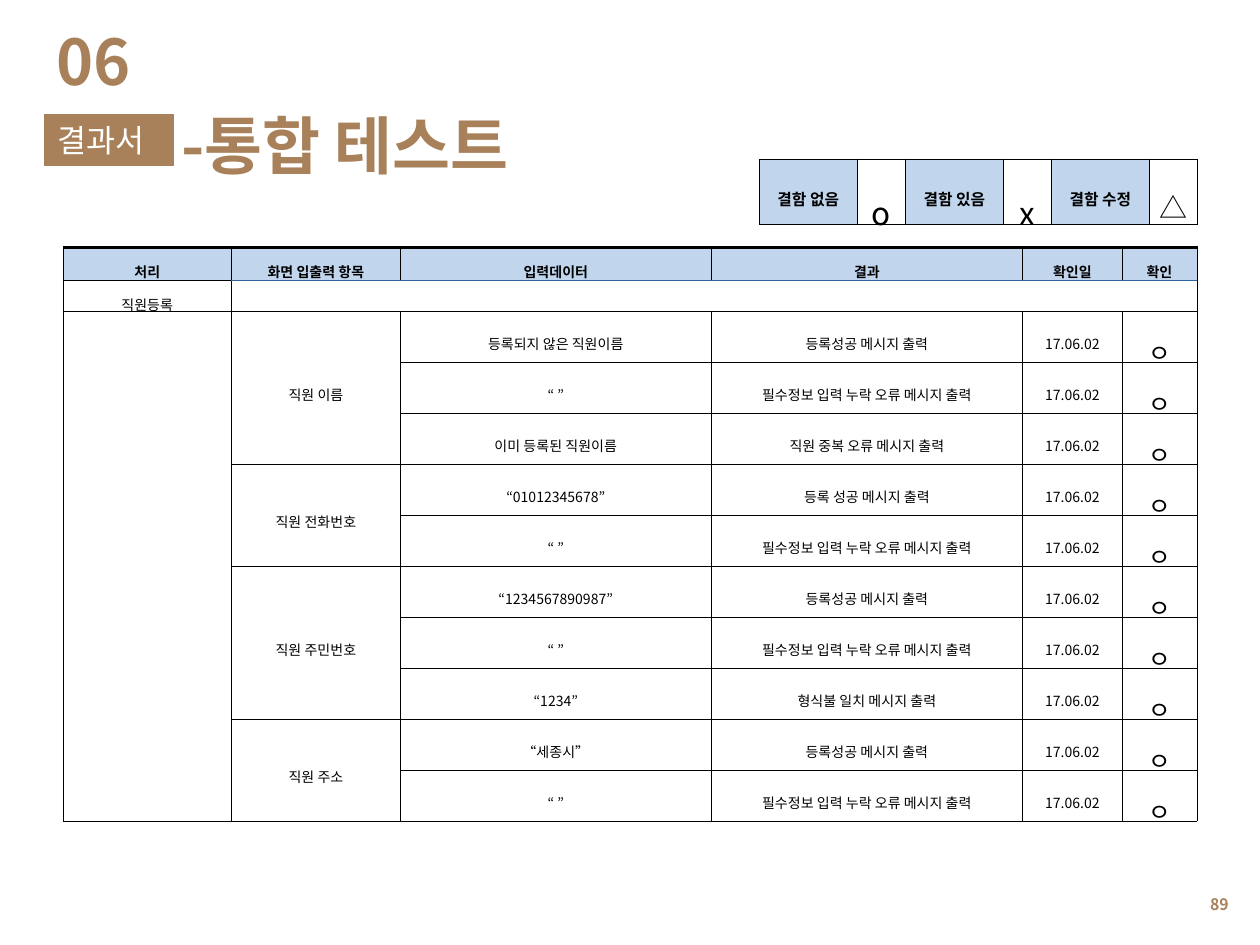
from lxml import etree
from pptx import Presentation
from pptx.dml import color
from pptx.enum import shapes, text
from pptx.oxml import ns
from pptx.util import Pt

FONT = "Noto Sans CJK KR"
LINE_HEIGHT, SPACING = 1.45, 1.6
BROWN, BLACK, WHITE = "A8815A", "000000", "FFFFFF"
HEADER_FILL, HEADER_RULE = "C1D6ED", "2D629C"
ALIGN, ANCHOR = text.PP_ALIGN, text.MSO_ANCHOR

LEGEND = [("결함 없음", "o"), ("결함 있음", "x"), ("결함 수정", "△")]
HEADINGS = ["처리", "화면 입출력 항목", "입력데이터", "결과", "확인일", "확인"]
MISSING = ("“ ”", "필수정보 입력 누락 오류 메시지 출력")
TESTS = [
    ("직원 이름", [("등록되지 않은 직원이름", "등록성공 메시지 출력"), MISSING,
               ("이미 등록된 직원이름", "직원 중복 오류 메시지 출력")]),
    ("직원 전화번호", [("“01012345678”", "등록 성공 메시지 출력"), MISSING]),
    ("직원 주민번호", [("“1234567890987”", "등록성공 메시지 출력"), MISSING,
                 ("“1234”", "형식불 일치 메시지 출력")]),
    ("직원 주소", [("“세종시”", "등록성공 메시지 출력"), MISSING]),
]


def rgb(value):
    return color.RGBColor.from_string(value)


def write(frame, words, size, ink, bold=False, align=ALIGN.LEFT, anchor=ANCHOR.TOP):
    frame.word_wrap = True
    frame.auto_size = text.MSO_AUTO_SIZE.NONE
    frame.vertical_anchor = anchor
    format_paragraph(frame.paragraphs[0], words, size, ink, bold, align)


def format_paragraph(para, words, size, ink, bold, align):
    para.text = words
    para.alignment = align
    font = para.font
    font.size, font.bold, font.name = Pt(size), bold, FONT
    font.color.rgb = rgb(ink)
    # Korean glyphs take the East Asian typeface; pair kerning is off
    defaults = para._p.pPr.find(ns.qn("a:defRPr"))
    defaults.set("kern", "0")
    etree.SubElement(defaults, ns.qn("a:ea"), typeface=FONT)


def set_border(cell, side, ink, width):
    line = etree.Element(ns.qn("a:ln" + side), w=str(int(Pt(width))))
    fill = etree.SubElement(line, ns.qn("a:solidFill"))
    etree.SubElement(fill, ns.qn("a:srgbClr"), val=ink)
    # Borders come before the fill, in the order L, R, T, B
    cell._tc.get_or_add_tcPr().insert("LRTB".index(side), line)


def new_table(page, left, top, widths, heights, border, inset_x, inset_y):
    """Add a plain bordered table whose cells are empty."""
    frame = page.shapes.add_table(len(heights), len(widths), Pt(left), Pt(top),
                                  Pt(sum(widths)), Pt(sum(heights)))
    table = frame.table
    table.first_row = table.horz_banding = False
    for column, width in zip(table.columns, widths):
        column.width = Pt(width)
    for row, height in zip(table.rows, heights):
        row.height = Pt(height)
    for cell in table.iter_cells():
        cell.fill.background()
        cell.margin_left = cell.margin_right = Pt(inset_x)
        cell.margin_top = cell.margin_bottom = Pt(inset_y)
        for side in "LRTB":
            set_border(cell, side, BLACK, border)
        # Keeps empty cells from stretching their row
        etree.SubElement(cell.text_frame.paragraphs[0]._p, ns.qn("a:endParaRPr"), sz="800")
    return table


def fill_cell(table, row, column, words, size, bold=False, fill=None, anchor=ANCHOR.MIDDLE):
    cell = table.cell(row, column)
    cell.vertical_anchor = anchor
    # A line taller than its row hangs below it instead of stretching it
    room = table.rows[row].height - cell.margin_top - Pt(size * LINE_HEIGHT * SPACING)
    cell.margin_bottom = min(cell.margin_bottom, room)
    para = cell.text_frame.paragraphs[0]
    para.line_spacing = SPACING
    format_paragraph(para, words, size, BLACK, bold, ALIGN.CENTER)
    if fill:
        cell.fill.solid()
        cell.fill.fore_color.rgb = rgb(fill)


def restyle_border(cell, side, ink, width):
    properties = cell._tc.tcPr
    properties.remove(properties.find(ns.qn("a:ln" + side)))
    set_border(cell, side, ink, width)


def add_heading(page, left, top):
    # Section number
    number = page.shapes.add_textbox(Pt(left), Pt(top), Pt(90.7), Pt(51.1))
    write(number.text_frame, "06", 36, BROWN, bold=True)

    # Section badge
    badge = page.shapes.add_shape(shapes.MSO_SHAPE.RECTANGLE, Pt(left + 0.3), Pt(top + 56.2),
                                  Pt(73.4), Pt(29))
    badge.shadow.inherit = False
    badge.fill.solid()
    badge.fill.fore_color.rgb = rgb(BROWN)
    badge.line.color.rgb = rgb(BROWN)
    badge.line.width = Pt(0.75)
    write(badge.text_frame, "결과서", 18, WHITE, align=ALIGN.JUSTIFY, anchor=ANCHOR.MIDDLE)

    # Slide title
    title = page.shapes.title
    title.left, title.top = Pt(left + 71.3), Pt(top + 47.7)
    title.width, title.height = Pt(578.2), Pt(51.1)
    write(title.text_frame, "-통합 테스트", 36, BROWN, bold=True)


def add_legend(page, left, top):
    table = new_table(page, left, top, [56, 27.5] * len(LEGEND), [37.2], 0.28, 5, 1.4)
    for index, (label, mark) in enumerate(LEGEND):
        fill_cell(table, 0, 2 * index, label, 9, bold=True, fill=HEADER_FILL)
        fill_cell(table, 0, 2 * index + 1, mark, 16 if mark == "△" else 18,
                  anchor=ANCHOR.TOP if mark == "o" else ANCHOR.MIDDLE)


def add_results(page, left, top):
    count = sum(len(cases) for _, cases in TESTS)
    widths = [96.4, 96.4, 177.8, 177.8, 57, 42.6]
    heights = [18.9, 17.5] + [28.93] * count
    table = new_table(page, left, top, widths, heights, 0.25, 3.6, 0.7)

    # Header row
    for column, heading in enumerate(HEADINGS):
        cell = table.cell(0, column)
        fill_cell(table, 0, column, heading, 8, bold=True, fill=HEADER_FILL)
        restyle_border(cell, "T", BLACK, 1.7)
        if column:
            restyle_border(cell, "B", HEADER_RULE, 0.25)
            restyle_border(table.cell(1, column), "T", HEADER_RULE, 0.25)

    # Process row and the blank block below it
    fill_cell(table, 1, 0, "직원등록", 8)
    table.cell(1, 1).merge(table.cell(1, len(widths) - 1))
    table.cell(2, 0).merge(table.cell(count + 1, 0))

    # Test cases, grouped by screen item
    row = 2
    for item, cases in TESTS:
        fill_cell(table, row, 1, item, 8)
        table.cell(row, 1).merge(table.cell(row + len(cases) - 1, 1))
        for entry, result in cases:
            for column, words in enumerate((entry, result, "17.06.02"), 2):
                fill_cell(table, row, column, words, 8)
            fill_cell(table, row, 5, "ㅇ", 14)
            row += 1


def add_page_number(page, left, top):
    box = page.shapes.add_textbox(Pt(left), Pt(top), Pt(167.8), Pt(28.8))
    write(box.text_frame, "89", 9, BROWN, bold=True, align=ALIGN.RIGHT, anchor=ANCHOR.MIDDLE)


def main():
    deck = Presentation()
    deck.slide_width, deck.slide_height = Pt(720), Pt(540)
    page = deck.slides.add_slide(deck.slide_layouts[5])
    add_page_number(page, 541.4, 502.2)
    add_heading(page, 25.2, 9.4)
    add_legend(page, 433.8, 90.9)
    add_results(page, 36, 141.3)
    deck.save("out.pptx")


if __name__ == "__main__":
    main()
